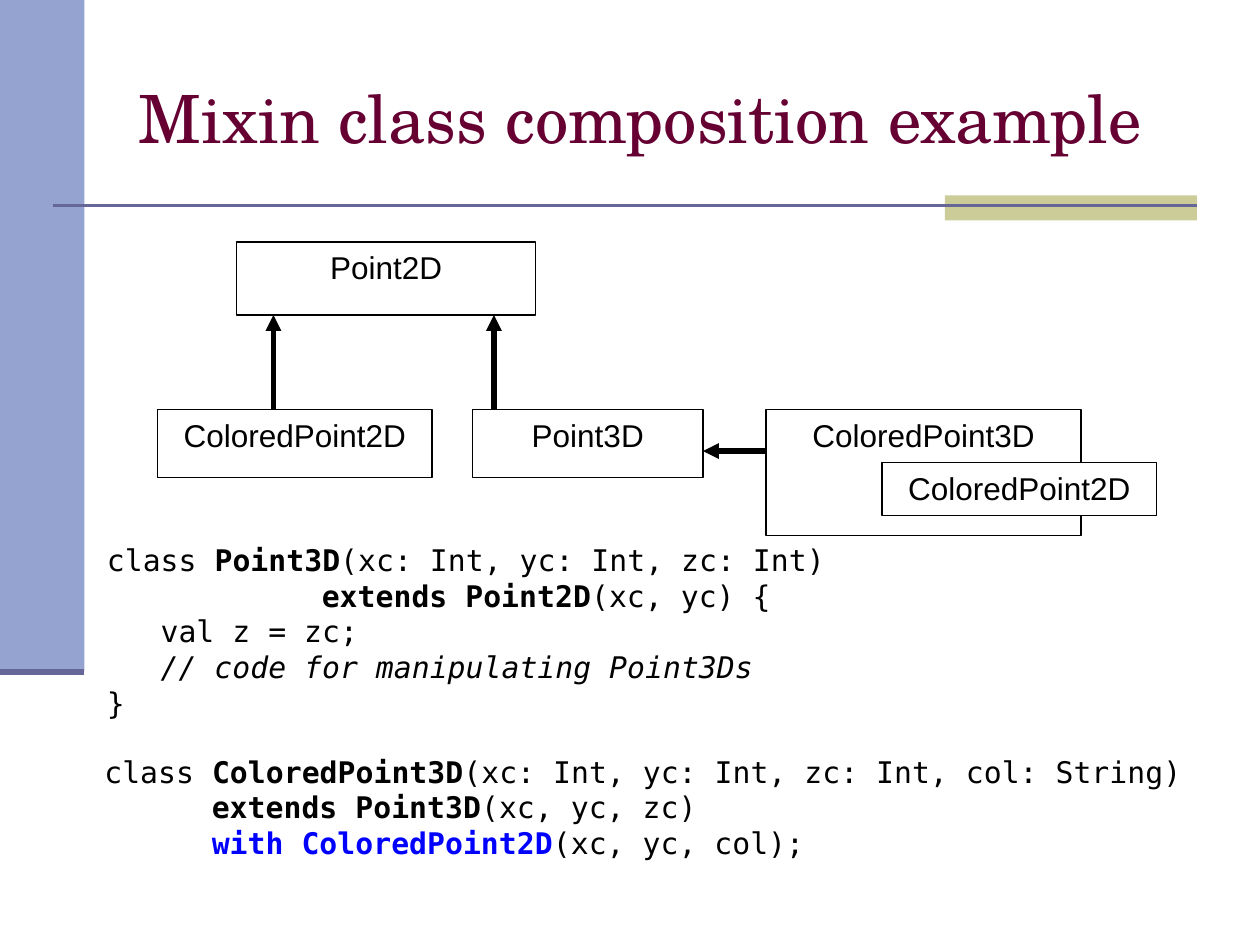
import pptx
import pptx.util
import pptx.dml.color
import pptx.enum.shapes
import pptx.enum.text
import pptx.oxml.ns
import lxml.etree

Inches, Pt = pptx.util.Inches, pptx.util.Pt
RGB = pptx.dml.color.RGBColor
BLACK, WHITE = RGB(0, 0, 0), RGB(255, 255, 255)
BLUE, MAROON = RGB(0, 0, 255), RGB(0x66, 0, 0x33)
PERIWINKLE, KHAKI, SLATE = RGB(0x95, 0xA3, 0xD1), RGB(0xCC, 0xCC, 0x99), RGB(0x66, 0x66, 0x99)
CODE_SIZE = 17
CHAR_WIDTH = 0.602 * CODE_SIZE

TITLE = "Mixin class composition example"
BANDS = [((0, 0, 0.67, 5.33), PERIWINKLE), ((7.5, 1.55, 2, 0.2), KHAKI)]
RULES = [((0.42, 1.63, 9.5, 1.63), 1.5), ((0, 5.33, 0.67, 5.33), 3.49)]
TOP, ROW = 1.92, 3.25
CLASSES = [
    ("ColoredPoint2D", (1.25, ROW, 2.18, 0.54), None),
    ("Point2D", (1.88, TOP, 2.37, 0.58), None),
    ("Point3D", (3.75, ROW, 1.83, 0.54), None),
    ("ColoredPoint3D", (6.08, ROW, 2.5, 1), None),
    ("ColoredPoint2D", (7, 3.67, 2.18, 0.42), WHITE),
]
ARROWS = [(2.17, ROW, 2.17, 2.5), (3.92, ROW, 3.92, 2.5), (6.08, 3.58, 5.58, 3.58)]
PLAIN, BOLD, ITALIC, MIXIN = (
    (False, False, BLACK), (True, False, BLACK), (False, True, BLACK), (True, False, BLUE))
LISTINGS = [
    ((0.75, 4.25, 6.58, 2.09), True, [
        (0, [("class ", PLAIN), ("Point3D", BOLD), ("(xc: Int, yc: Int, zc: Int)", PLAIN)]),
        (12, [("extends Point2D", BOLD), ("(xc, yc) {", PLAIN)]),
        (3, [("val z = zc;", PLAIN)]),
        (3, [("// code for manipulating Point3Ds", ITALIC)]),
        (0, [("}", PLAIN)]),
    ]),
    ((0.73, 5.93, 8.75, 0.95), False, [
        (0, [("class ", PLAIN), ("ColoredPoint3D", BOLD),
             ("(xc: Int, yc: Int, zc: Int, col: String)", PLAIN)]),
        (6, [("extends Point3D", BOLD), ("(xc, yc, zc)", PLAIN)]),
        (6, [("with ColoredPoint2D", MIXIN), ("(xc, yc, col);", PLAIN)]),
    ]),
]

prs = pptx.Presentation()
prs.slide_width, prs.slide_height = Inches(10), Inches(7.5)
s = prs.slides.add_slide(prs.slide_layouts[5])


def add_run(p, text, font, size, color, bold=False, italic=False):
    r = p.add_run()
    r.text = text
    r.font.name, r.font.size = font, Pt(size)
    r.font.bold, r.font.italic = bold, italic
    r.font.color.rgb = color


def add_box(at, fill=None, line=None):
    sp = s.shapes.add_shape(pptx.enum.shapes.MSO_SHAPE.RECTANGLE, *map(Inches, at))
    sp.shadow.inherit = False
    if fill is None:
        sp.fill.background()
    else:
        sp.fill.solid()
        sp.fill.fore_color.rgb = fill
    if line is None:
        sp.line.fill.background()
    else:
        sp.line.color.rgb, sp.line.width = line, Pt(0.74)
    return sp


def add_line(ends, color, width, arrow=False):
    cx = s.shapes.add_connector(
        pptx.enum.shapes.MSO_CONNECTOR.STRAIGHT, *map(Inches, ends))
    cx.line.color.rgb, cx.line.width = color, Pt(width)
    qn = pptx.oxml.ns.qn
    if arrow:
        lxml.etree.SubElement(cx.line._get_or_add_ln(), qn("a:tailEnd"), type="triangle")
    lxml.etree.SubElement(cx._element.spPr, qn("a:effectLst"))


title = s.shapes.title
title.left, title.top, title.width, title.height = map(Inches, (1, 0.3, 8.5, 1.25))
tf = title.text_frame
tf.auto_size = pptx.enum.text.MSO_AUTO_SIZE.NONE
tf.vertical_anchor = pptx.enum.text.MSO_ANCHOR.MIDDLE
tf.paragraphs[0].alignment = pptx.enum.text.PP_ALIGN.LEFT
add_run(tf.paragraphs[0], TITLE, "TeX Gyre Schola", 38, MAROON)

for at, fill in BANDS:
    add_box(at, fill)
for ends, width in RULES:
    add_line(ends, SLATE, width)

for name, at, fill in CLASSES:
    tf = add_box(at, fill, BLACK).text_frame
    tf.word_wrap = True
    tf.vertical_anchor = pptx.enum.text.MSO_ANCHOR.TOP
    tf.paragraphs[0].alignment = pptx.enum.text.PP_ALIGN.CENTER
    add_run(tf.paragraphs[0], name, "Arial", 18, BLACK)
for ends in ARROWS:
    add_line(ends, BLACK, 3, arrow=True)

for at, wrap, lines in LISTINGS:
    tf = s.shapes.add_textbox(*map(Inches, at)).text_frame
    tf.word_wrap = wrap
    for i, (indent, runs) in enumerate(lines):
        p = tf.add_paragraph() if i else tf.paragraphs[0]
        p._p.get_or_add_pPr().set("marL", str(int(Pt(indent * CHAR_WIDTH))))
        for text, (bold, italic, color) in runs:
            add_run(p, text, "DejaVu Sans Mono", CODE_SIZE, color, bold, italic)

prs.save("out.pptx")
